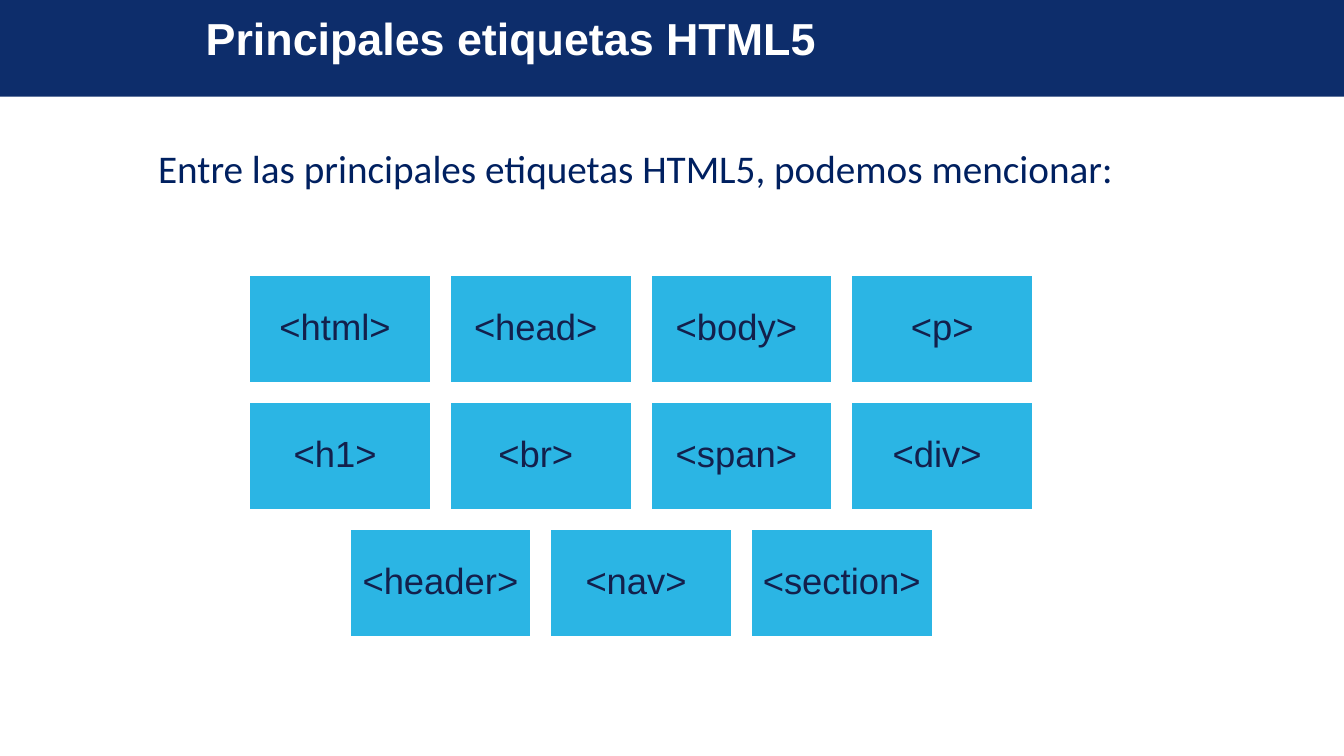
"""Build a slide that lists the main HTML5 tags in a centred grid."""
from pptx import Presentation
from pptx.dml.color import RGBColor
from pptx.enum.shapes import MSO_SHAPE as Shape
from pptx.enum.text import MSO_ANCHOR as Anchor, PP_ALIGN as Align
from pptx.util import Inches, Pt

TITLE = "Principales etiquetas HTML5"
INTRO = "Entre las principales etiquetas HTML5, podemos mencionar:"
TAG_ROWS = [
    ["<html> ", "<head> ", "<body> ", "<p>"],
    ["<h1> ", "<br> ", "<span> ", "<div> "],
    ["<header> ", "<nav> ", "<section> "],
]
NAVY, WHITE, BLUE, SKY, INK = "0D2D6B", "FFFFFF", "002060", "2BB5E4", "13204C"
SLIDE_WIDTH, SLIDE_HEIGHT = 13.33, 7.5
TILE_WIDTH, TILE_HEIGHT = 1.81, 1.08
GAP = 0.18
GRID_CENTER, GRID_TOP = 6.36, 2.72


def color(value):
    return RGBColor.from_string(value)


def add_rectangle(slide, left, top, width, height, fill):
    shape = slide.shapes.add_shape(
        Shape.RECTANGLE, Inches(left), Inches(top), Inches(width), Inches(height))
    shape.shadow.inherit = False
    shape.fill.solid()
    shape.fill.fore_color.rgb = color(fill)
    shape.line.fill.background()
    return shape


def write(shape, text, size, font, ink, align, anchor, inset=(0.1, 0.05), bold=False):
    frame = shape.text_frame
    frame.word_wrap = True
    frame.vertical_anchor = anchor
    frame.margin_left = frame.margin_right = Inches(inset[0])
    frame.margin_top = frame.margin_bottom = Inches(inset[1])
    paragraph = frame.paragraphs[0]
    paragraph.alignment = align
    paragraph.line_spacing = 0.9
    run = paragraph.add_run()
    run.text = text
    run.font.size = Pt(size)
    run.font.name = font
    run.font.bold = bold
    run.font.color.rgb = color(ink)
    return paragraph


def add_tile(slide, left, top, tag):
    tile = add_rectangle(slide, left, top, TILE_WIDTH, TILE_HEIGHT, SKY)
    tile.line.color.rgb = color(WHITE)
    tile.line.width = Pt(2)
    write(tile, tag, 26, "Arial", INK, Align.CENTER, Anchor.MIDDLE, (0.11, 0.11))


def main():
    presentation = Presentation()
    presentation.slide_width = Inches(SLIDE_WIDTH)
    presentation.slide_height = Inches(SLIDE_HEIGHT)
    slide = presentation.slides.add_slide(presentation.slide_layouts[5])

    banner = add_rectangle(slide, 0, 0, SLIDE_WIDTH, 0.96, NAVY)
    title = slide.shapes.title
    banner.element.addnext(title.element)
    title.left, title.top = Inches(1.94), Inches(0.1)
    title.width, title.height = Inches(10.74), Inches(0.62)
    write(title, TITLE, 32, "Arial", WHITE, Align.LEFT, Anchor.MIDDLE, bold=True)

    intro = slide.shapes.add_textbox(Inches(1.35), Inches(1.44), Inches(11.5), Inches(0.8))
    paragraph = write(intro, INTRO, 28, "Calibri", BLUE, Align.LEFT, Anchor.TOP)
    paragraph.space_before = Pt(10)
    paragraph._p.get_or_add_pPr().set("marL", str(Inches(0.12)))

    for row, tags in enumerate(TAG_ROWS):
        row_width = len(tags) * (TILE_WIDTH + GAP) - GAP
        top = GRID_TOP + row * (TILE_HEIGHT + GAP)
        for column, tag in enumerate(tags):
            left = GRID_CENTER - row_width / 2 + column * (TILE_WIDTH + GAP)
            add_tile(slide, left, top, tag)

    presentation.save("out.pptx")


if __name__ == "__main__":
    main()
